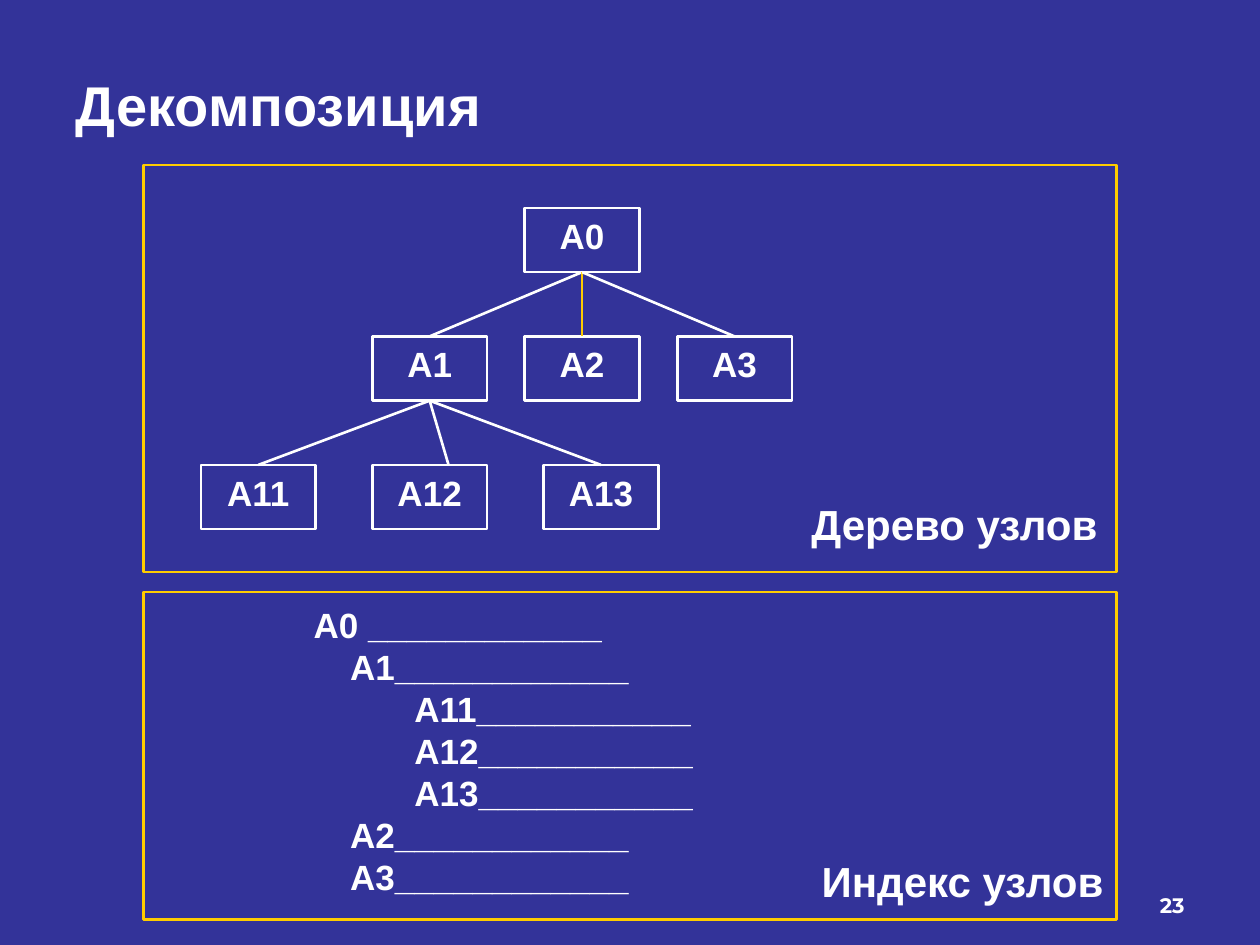
from lxml.etree import SubElement
from pptx import Presentation
from pptx.dml.color import RGBColor
from pptx.enum.shapes import MSO_CONNECTOR, MSO_SHAPE
from pptx.enum.text import MSO_ANCHOR, MSO_AUTO_SIZE, PP_ALIGN
from pptx.oxml.ns import qn
from pptx.util import Inches, Pt

NAVY = RGBColor(0x33, 0x33, 0x99)
WHITE = RGBColor(0xFF, 0xFF, 0xFF)
GOLD = RGBColor(0xFF, 0xCC, 0x00)

# Tree grid, in inches
NODE_W, NODE_H = 0.91, 0.51
ROW_TOP, ROW_STEP = 1.65, 1.02
ROOT_X = 4.62
BRANCH_STEP, LEAF_STEP = 1.21, 1.36
MIDDLE_LEAF_SHIFT = 0.15

PANEL_LEFT, PANEL_W = 1.14, 7.72

# Index lines: outline level and text
INDEX_INDENTS = (1.23, 1.52, 2.03)
INDEX = [
    (0, "А0 ____________"),
    (1, "А1____________"),
    (2, "А11___________"),
    (2, "А12___________"),
    (2, "А13___________"),
    (1, "А2____________"),
    (1, "А3____________"),
]


def format_text(frame, size, align, font="Arial"):
    for paragraph in frame.paragraphs:
        paragraph.alignment = align
        for run in paragraph.runs:
            run.font.name = font
            run.font.size = Pt(size)
            run.font.bold = True
            run.font.color.rgb = WHITE


def add_frame(slide, left, top, width, height, color):
    frame = slide.shapes.add_shape(MSO_SHAPE.RECTANGLE, Inches(left), Inches(top),
                                   Inches(width), Inches(height))
    frame.shadow.inherit = False
    frame.fill.background()
    frame.line.color.rgb = color
    frame.line.width = Pt(1.5)
    return frame


def row_top(row):
    return ROW_TOP + row * ROW_STEP


def add_node(slide, label, center, row):
    node = add_frame(slide, center - NODE_W / 2, row_top(row), NODE_W, NODE_H, WHITE)
    node.text_frame.text = label
    node.text_frame.vertical_anchor = MSO_ANCHOR.TOP
    format_text(node.text_frame, 20, PP_ALIGN.CENTER)


def add_link(slide, parent_x, child_x, child_row, color=WHITE):
    link = slide.shapes.add_connector(
        MSO_CONNECTOR.STRAIGHT,
        Inches(parent_x), Inches(row_top(child_row - 1) + NODE_H),
        Inches(child_x), Inches(row_top(child_row)))
    link.line.color.rgb = color
    link.line.width = Pt(1.5)
    SubElement(link._element.spPr, qn("a:effectLst"))


def add_text(slide, text, box, size, align, anchor=MSO_ANCHOR.TOP, wrap=False, font="Arial"):
    frame = slide.shapes.add_textbox(*map(Inches, box)).text_frame
    frame.word_wrap = wrap
    frame.vertical_anchor = anchor
    frame.text = text
    format_text(frame, size, align, font)
    return frame


def add_tree(slide):
    branches = [ROOT_X + i * BRANCH_STEP for i in (-1, 0, 1)]
    leaf_parent = branches[0]
    leaves = [leaf_parent + i * LEAF_STEP for i in (-1, 0, 1)]

    add_node(slide, "А0", ROOT_X, 0)
    for number, (branch, leaf) in enumerate(zip(branches, leaves), 1):
        add_node(slide, f"А{number}", branch, 1)
        add_node(slide, f"А1{number}", leaf, 2)
        add_link(slide, ROOT_X, branch, 1, GOLD if number == 2 else WHITE)
        leaf_end = leaf + (MIDDLE_LEAF_SHIFT if number == 2 else 0)
        add_link(slide, leaf_parent, leaf_end, 2)


def add_index(slide):
    index = add_text(slide, "\n".join(text for _, text in INDEX), (1.16, 4.73, 4.45, 2.46),
                     20, PP_ALIGN.LEFT, MSO_ANCHOR.MIDDLE, wrap=True)
    for paragraph, (level, _) in zip(index.paragraphs, INDEX):
        properties = paragraph._p.get_or_add_pPr()
        properties.set("marL", str(Inches(INDEX_INDENTS[level])))
        properties.set("indent", "0")


def main():
    presentation = Presentation()
    presentation.slide_width, presentation.slide_height = Inches(10), Inches(7.5)
    slide = presentation.slides.add_slide(presentation.slide_layouts[5])
    slide.background.fill.solid()
    slide.background.fill.fore_color.rgb = NAVY

    # Title
    title = slide.shapes.title
    title.left, title.top, title.width, title.height = map(Inches, (0.5, 0.5, 9, 0.65))
    title.text_frame.text = "Декомпозиция"
    title.text_frame.auto_size = MSO_AUTO_SIZE.NONE
    title.text_frame.vertical_anchor = MSO_ANCHOR.MIDDLE
    format_text(title.text_frame, 32, PP_ALIGN.LEFT)

    # Node tree
    add_frame(slide, PANEL_LEFT, 1.31, PANEL_W, 3.23, GOLD)
    add_tree(slide)

    # Node index
    add_frame(slide, PANEL_LEFT, 4.7, PANEL_W, 2.6, GOLD)
    add_index(slide)

    # Panel captions and page number
    add_text(slide, "Дерево узлов", (6.33, 3.91, 2.49, 0.5), 24, PP_ALIGN.CENTER)
    add_text(slide, "Индекс узлов", (6.41, 6.74, 2.46, 0.5), 24, PP_ALIGN.CENTER)
    add_text(slide, "23", (7.17, 6.83, 2.33, 0.5), 12, PP_ALIGN.RIGHT,
             MSO_ANCHOR.BOTTOM, wrap=True, font="Montserrat")

    presentation.save("out.pptx")


if __name__ == "__main__":
    main()
